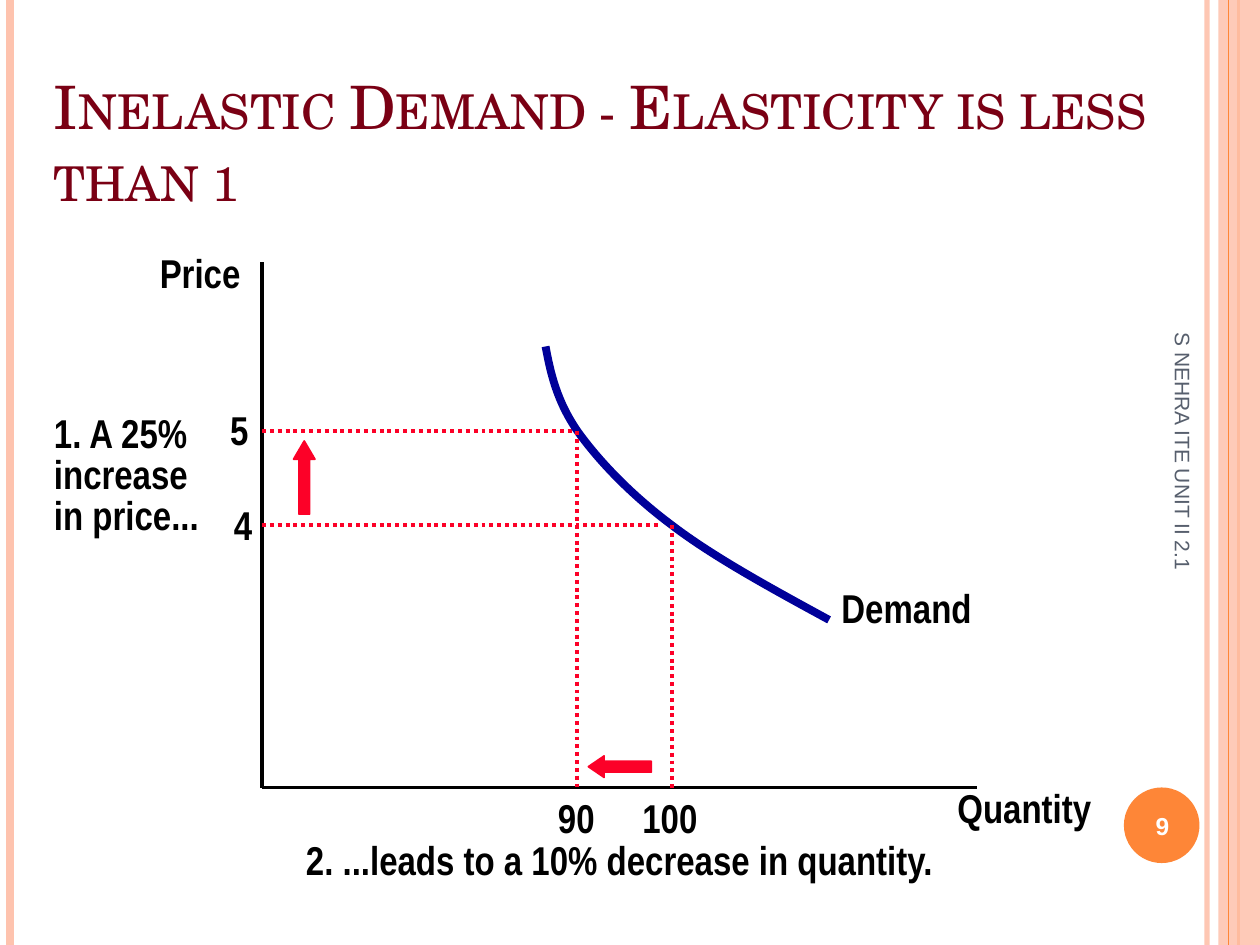
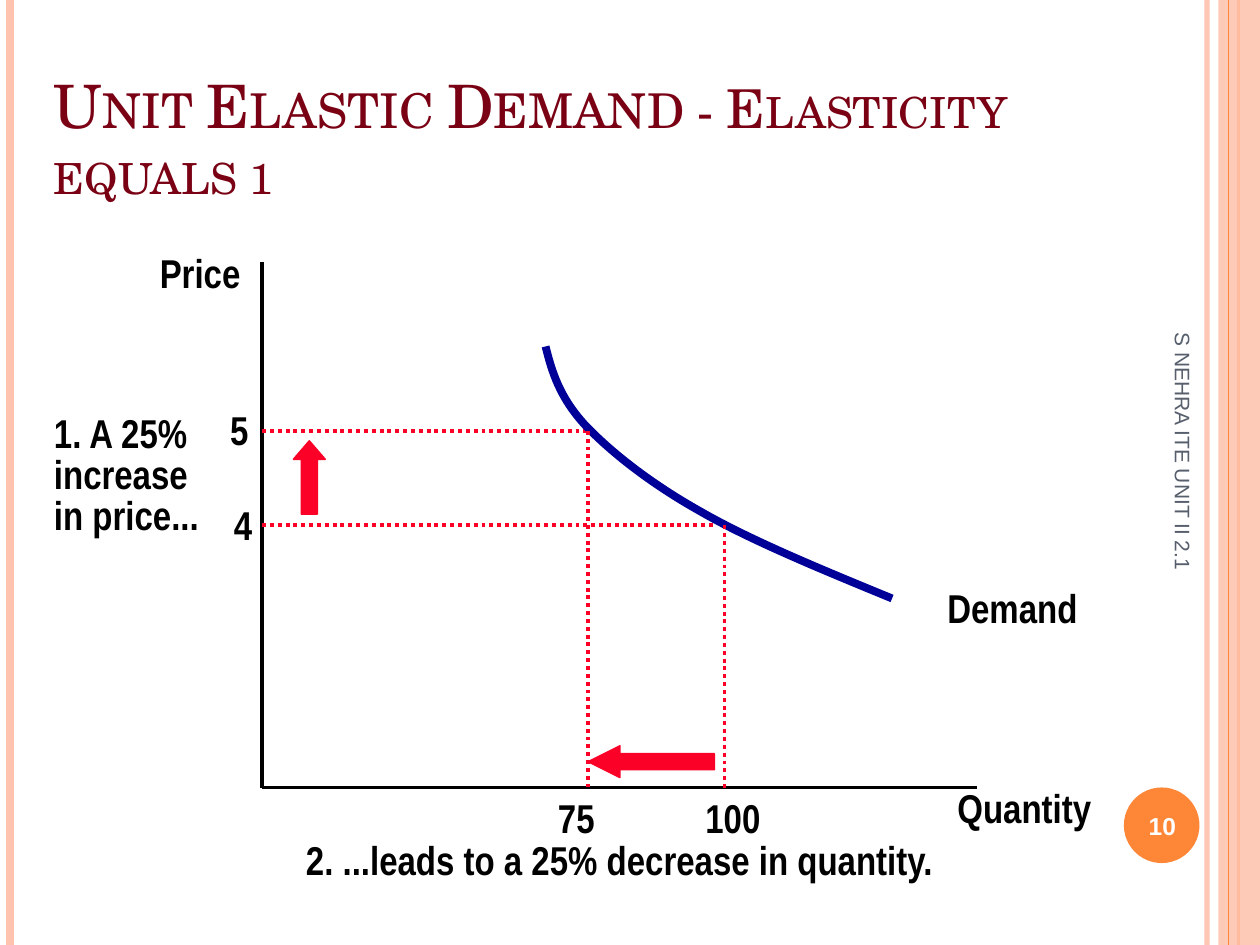
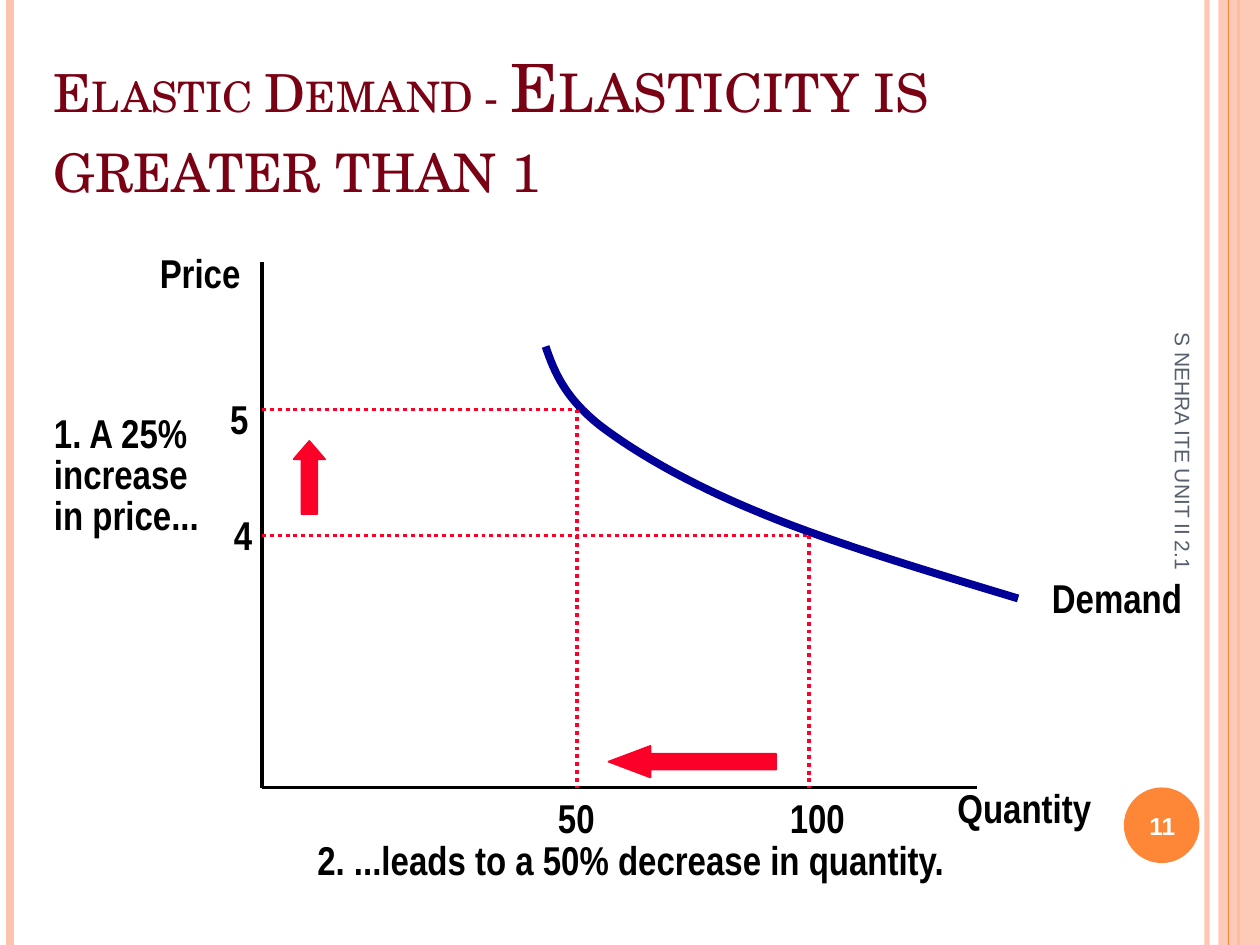
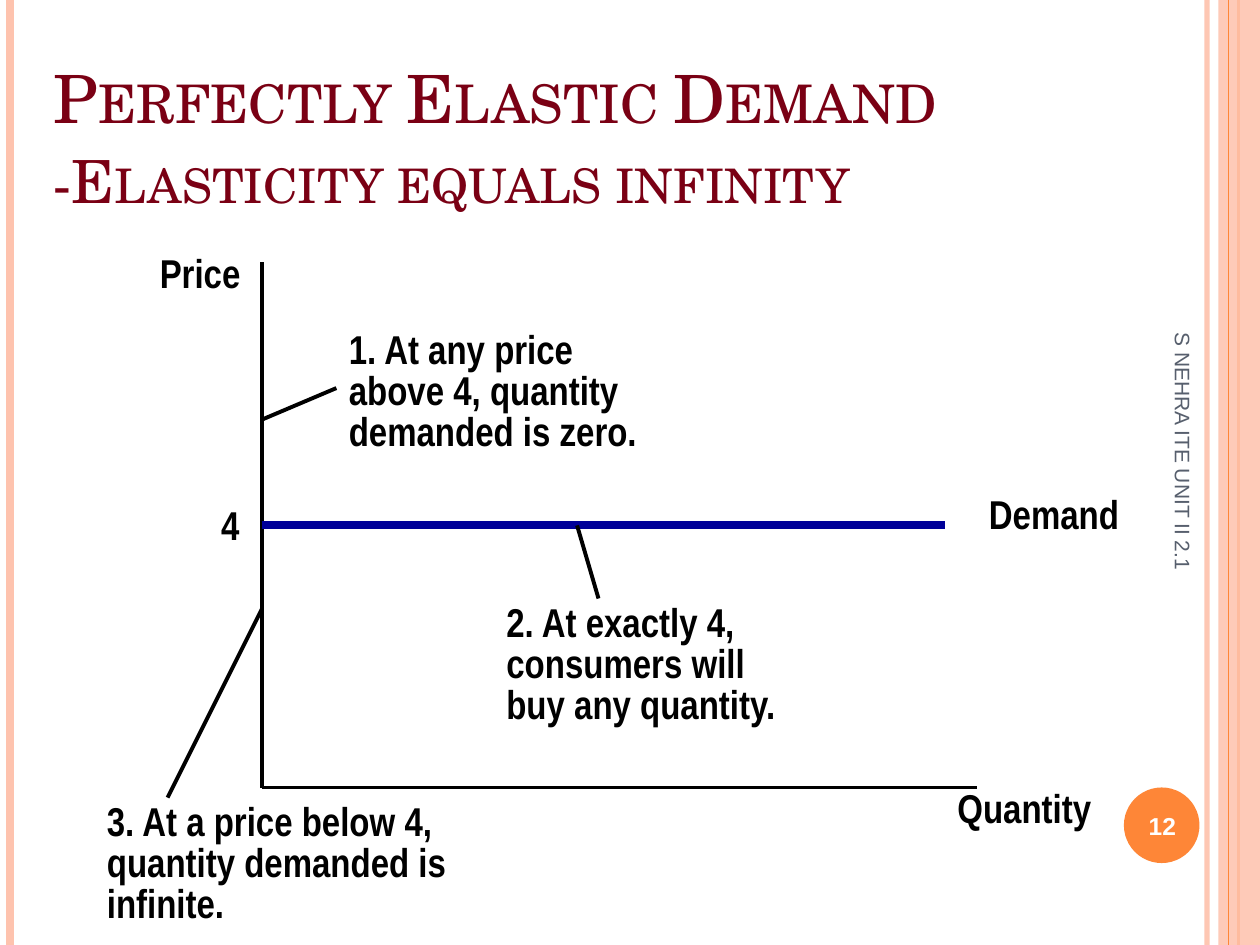
from pptx import Presentation
from pptx.dml.color import RGBColor
from pptx.enum.dml import MSO_LINE
from pptx.enum.shapes import MSO_CONNECTOR, MSO_SHAPE
from pptx.enum.text import MSO_ANCHOR, MSO_AUTO_SIZE, PP_ALIGN
from pptx.oxml.xmlchemy import OxmlElement
from pptx.util import Inches, Pt

STRAIGHT = MSO_CONNECTOR.STRAIGHT
RECT, OVAL = MSO_SHAPE.RECTANGLE, MSO_SHAPE.OVAL
UP, LEFT_ARROW = MSO_SHAPE.UP_ARROW, MSO_SHAPE.LEFT_ARROW
DOTTED = MSO_LINE.ROUND_DOT
MIDDLE, TOP = MSO_ANCHOR.MIDDLE, MSO_ANCHOR.TOP
LEFT, CENTER, RIGHT = PP_ALIGN.LEFT, PP_ALIGN.CENTER, PP_ALIGN.RIGHT
GROW, FIXED = MSO_AUTO_SIZE.SHAPE_TO_FIT_TEXT, MSO_AUTO_SIZE.NONE

COLORS = {
    "white": "FFFFFF", "black": "000000", "peach": "FEC3AE", "orange": "FE8637",
    "title": "7A0014", "footer": "575F6D", "red": "FC0128", "demand": "000099",
}
STYLES = {
    "title": {
        "font": {"name": "TeX Gyre Schola"}, "color": "title",
        "frame": {"auto_size": FIXED, "vertical_anchor": MIDDLE},
    },
    "label": {
        "font": {"name": "Arial Narrow", "size": Pt(23), "bold": True}, "color": "black",
        "frame": {"auto_size": GROW, "vertical_anchor": TOP},
    },
    "number": {
        "font": {"name": "Arial", "size": Pt(14), "bold": True}, "color": "white",
        "frame": {"auto_size": FIXED, "vertical_anchor": MIDDLE},
    },
    "footer": {
        "font": {"name": "Arial", "size": Pt(12)}, "color": "footer",
        "frame": {"auto_size": FIXED, "vertical_anchor": MIDDLE},
    },
}

FOOTER = "S NEHRA ITE UNIT II 2.1"
PAGE = (0, 0, 10, 7.5)
PLOT = (2.08, 2.08, 5.67, 4.17)
LINE_HEIGHT = 0.3
DEMAND_WIDTH = 1.3
CURVE = [(0, 0), (0.05, 0.2), (0.11, 0.4), (0.31, 0.62), (0.51, 0.83), (0.82, 1.08),
         (1.23, 1.31), (1.63, 1.54), (2.19, 1.77), (2.75, 2)]

CURVE_SLIDES = [
    {
        "number": 9, "title_box": (0.33, 0.5, 9.25, 1.25),
        "title": [("Inelastic Demand - Elasticity is less than 1", 34.2)],
        "prices": [("4", -0.33, 0.35, 1.84, 2.09, 3.17), ("5", -0.5, 0.49, 1.09, 1.34, 2.5)],
        "quantities": [("100", 2.92, 0.7, 3.25, 2.09), ("90", 2.25, 0.55, 2.5, 1.34)],
        "curve": (2.25, 2.17), "demand": (4.5, 2.5),
        "up": (0.25, 1.42, 0.17, 0.58), "left": (2.59, 3.92, 0.5, 0.17),
        "percent": 10, "caption_x": 0.25,
    },
    {
        "number": 10, "title_box": (0.33, 0.5, 9.17, 1.17),
        "title": [("Unit Elastic Demand - ", 34.2), ("Elasticity equals 1", 30.6)],
        "prices": [("4", -0.33, 0.35, 1.84, 2.09, 3.59), ("5", -0.5, 0.49, 1.09, 1.34, 2.59)],
        "quantities": [("100", 3.42, 0.7, 3.67, 2.09), ("75", 2.25, 0.55, 2.59, 1.34)],
        "curve": (2.75, 2), "demand": (5.34, 2.5),
        "up": (0.25, 1.42, 0.25, 0.58), "left": (2.59, 3.84, 1, 0.25),
        "percent": 25, "caption_x": 0.25,
    },
    {
        "number": 11, "title_box": (0.33, 0.25, 9.17, 1.5),
        "title": [("Elastic Demand - ", 30), ("Elasticity is greater than 1", 38)],
        "prices": [("4", -0.33, 0.35, 1.92, 2.17, 4.34), ("5", -0.5, 0.49, 1, 1.17, 2.59)],
        "quantities": [("100", 4.09, 0.7, 4.34, 2.17), ("50", 2.25, 0.55, 2.5, 1.17)],
        "curve": (3.75, 2), "demand": (6.17, 2.42),
        "up": (0.25, 1.42, 0.25, 0.58), "left": (2.75, 3.84, 1.33, 0.25),
        "percent": 50, "caption_x": 0.34,
    },
]
INFINITE_SLIDE = {
    "number": 12, "title_box": (0.33, 0.42, 8.5, 1.33),
    "title": [("Perfectly Elastic Demand -", 38), ("Elasticity equals infinity", 34)],
}
NOTES = [
    (0.59, 0.5, 2.6, ["1. At any price", "above 4, quantity", "demanded is zero."],
     (0, 1.25, 0.59, 1)),
    (1.84, 2.67, 2.45, ["2. At exactly 4,", "consumers will", "buy any quantity."],
     (2.5, 2.09, 2.67, 2.67)),
    (-1.33, 4.25, 3.5, ["3. At a price below 4,", "quantity demanded is infinite."],
     (-0.75, 4.25, 0, 2.75)),
]


def rgb(key):
    """Return a named colour."""
    return RGBColor.from_string(COLORS[key])


def apply(target, values):
    """Set every attribute of a dict on the target."""
    for name, value in values.items():
        setattr(target, name, value)


def set_alpha(s, percent):
    """Make the colour of a shape or line partly transparent."""
    alpha = OxmlElement("a:alpha")
    alpha.set("val", str(percent * 1000))
    s._element.xpath("./p:spPr//a:srgbClr")[0].append(alpha)


def add_text(slide, box, paragraphs, style, align=LEFT, spacing=None):
    """Add a text box; a paragraph is a string or a list of (text, size) runs."""
    fmt = STYLES[style]
    s = slide.shapes.add_textbox(*map(Inches, box))
    tf = s.text_frame
    tf.word_wrap = True
    apply(tf, fmt["frame"])
    for i, runs in enumerate(paragraphs):
        p = tf.add_paragraph() if i else tf.paragraphs[0]
        apply(p, {"alignment": align, "line_spacing": spacing})
        for words, size in [(runs, None)] if isinstance(runs, str) else runs:
            r = p.add_run()
            r.text = words
            apply(r.font, fmt["font"])
            r.font.color.rgb = rgb(fmt["color"])
            if size:
                r.font.size = Pt(size)
            if style == "title":
                r.font._element.set("cap", "small")
    return s


def add_label(slide, x, y, w, *lines, align=LEFT):
    """Add diagram text as high as its lines need."""
    box = (x, y, w, 0.48 + LINE_HEIGHT * (len(lines) - 1))
    spacing = 0.85 if len(lines) > 1 else None
    return add_text(slide, box, lines, "label", align, spacing)


def add_line(slide, x1, y1, x2, y2, color="black", width=2.25, dash=None):
    """Add a straight line without a shadow."""
    s = slide.shapes.add_connector(STRAIGHT, *map(Inches, (x1, y1, x2, y2)))
    s.line.color.rgb = rgb(color)
    apply(s.line, {"width": Pt(width), "dash_style": dash})
    s._element.spPr.append(OxmlElement("a:effectLst"))
    return s


def add_solid(slide, kind, box, color):
    """Add a filled preset shape without outline or shadow."""
    s = slide.shapes.add_shape(kind, *map(Inches, box))
    s.shadow.inherit = False
    s.fill.solid()
    s.fill.fore_color.rgb = rgb(color)
    s.line.fill.background()
    return s


def add_arrow(slide, kind, x, y, w, h):
    """Add a red block arrow whose head is a quarter of its length."""
    s = add_solid(slide, kind, (x, y, w, h), "red")
    s.line.color.rgb = rgb("red")
    s.line.width = Pt(1)
    s.adjustments[0] = 0.5
    s.adjustments[1] = 0.25 * max(w, h) / min(w, h)


def add_curve(slide, x, y, w, h):
    """Stretch the demand curve over a box as smooth Bezier segments."""
    end_x, end_y = CURVE[-1]
    points = [(Inches(x + w * a / end_x), Inches(y + h * b / end_y)) for a, b in CURVE]
    builder = slide.shapes.build_freeform(*points[0])
    builder.add_line_segments(points[1:], close=False)
    s = builder.convert_to_shape()
    s.shadow.inherit = False
    s.fill.background()
    s.line.color.rgb = rgb("demand")
    s.line.width = Pt(4.5)
    segments = s._element.xpath(".//a:lnTo")
    for i in range(0, len(segments), 3):
        bezier = OxmlElement("a:cubicBezTo")
        segments[i].addprevious(bezier)
        for segment in segments[i:i + 3]:
            bezier.append(segment[0])
            segment.getparent().remove(segment)


def draw_frame(slide, box, number):
    """Draw the side bands, page number and vertical footer of a page."""
    x, y, w, h = box
    right, bottom = x + w, y + h
    inner = add_line(slide, right - 0.42, y, right - 0.42, bottom, "peach", 3)
    set_alpha(inner, 93)
    add_line(slide, x + 0.08, y, x + 0.08, bottom, "peach", 4.5)
    add_line(slide, right - 0.17, y, right - 0.17, bottom, "orange", 1.5)
    set_alpha(add_solid(slide, RECT, (right - 0.33, y, 0.33, h), "peach"), 87)
    add_line(slide, right - 0.25, y, right - 0.25, bottom, "orange", 0.75)
    add_solid(slide, OVAL, (right - 1.08, bottom - 1.25, 0.6, 0.6), "orange")
    add_text(slide, (right - 1.11, bottom - 1.23, 0.67, 0.57), [str(number)], "number", CENTER)
    footer = add_text(slide, (right - 2.36, y + 4.09, 3.5, 0.4), [FOOTER], "footer")
    footer.rotation = 90


def draw_axes(slide, box):
    """Draw the price and quantity axes along a plot box."""
    x, y, w, h = box
    add_line(slide, x, y, x, y + h)
    add_line(slide, x, y + h, x + w, y + h)
    add_label(slide, x + w - 0.25, y + h - 0.08, 1.35, "Quantity")
    add_label(slide, x - 0.91, y - 0.16, 0.9, "Price")


def draw_curve_plot(slide, box, data):
    """Draw a demand curve with its guides, arrows and comments."""
    x, y, _, h = box
    for value, label_x, label_w, label_y, guide_y, end in data["prices"]:
        add_label(slide, x + label_x, y + label_y, label_w, value, align=RIGHT)
        add_line(slide, x, y + guide_y, x + end, y + guide_y, "red", dash=DOTTED)
    add_label(slide, x - 1.75, y + 1.17, 1.4, "1. A 25%", "increase", "in price...")
    up_x, up_y, *up_size = data["up"]
    add_arrow(slide, UP, x + up_x, y + up_y, *up_size)
    demand_x, demand_y = data["demand"]
    add_label(slide, x + demand_x, y + demand_y, DEMAND_WIDTH, "Demand")
    add_curve(slide, x + 2.25, y + 0.67, *data["curve"])
    for value, label_x, label_w, guide_x, start in data["quantities"]:
        add_line(slide, x + guide_x, y + start, x + guide_x, y + h, "red", dash=DOTTED)
        add_label(slide, x + label_x, y + h, label_w, value)
    caption = f"2. ...leads to a {data['percent']}% decrease in quantity."
    add_label(slide, x + data["caption_x"], y + h + 0.33, 5.3, caption)
    left_x, left_y, *left_size = data["left"]
    add_arrow(slide, LEFT_ARROW, x + left_x, y + left_y, *left_size)


def draw_infinite_plot(slide, box):
    """Draw a flat demand line with three comments and their leaders."""
    x, y, w, _ = box
    add_label(slide, x + w, y + 1.75, DEMAND_WIDTH, "Demand")
    add_label(slide, x - 0.5, y + 1.84, 0.42, "4", align=RIGHT)
    add_line(slide, x, y + 2.09, x + 5.42, y + 2.09, "demand", 4.5)
    for note_x, note_y, note_w, lines, (x1, y1, x2, y2) in NOTES:
        s = add_label(slide, x + note_x, y + note_y, note_w, *lines)
        s.fill.solid()
        s.fill.fore_color.rgb = rgb("white")
        add_line(slide, x + x1, y + y1, x + x2, y + y2)


def start_slide(prs, data):
    """Add a slide with its frame, title and axes."""
    slide = prs.slides.add_slide(prs.slide_layouts[6])
    draw_frame(slide, PAGE, data["number"])
    add_text(slide, data["title_box"], [data["title"]], "title")
    draw_axes(slide, PLOT)
    return slide


def main():
    """Build and save the four slides."""
    prs = Presentation()
    prs.slide_width, prs.slide_height = Inches(PAGE[2]), Inches(PAGE[3])
    for data in CURVE_SLIDES:
        draw_curve_plot(start_slide(prs, data), PLOT, data)
    draw_infinite_plot(start_slide(prs, INFINITE_SLIDE), PLOT)
    prs.save("out.pptx")


if __name__ == "__main__":
    main()
